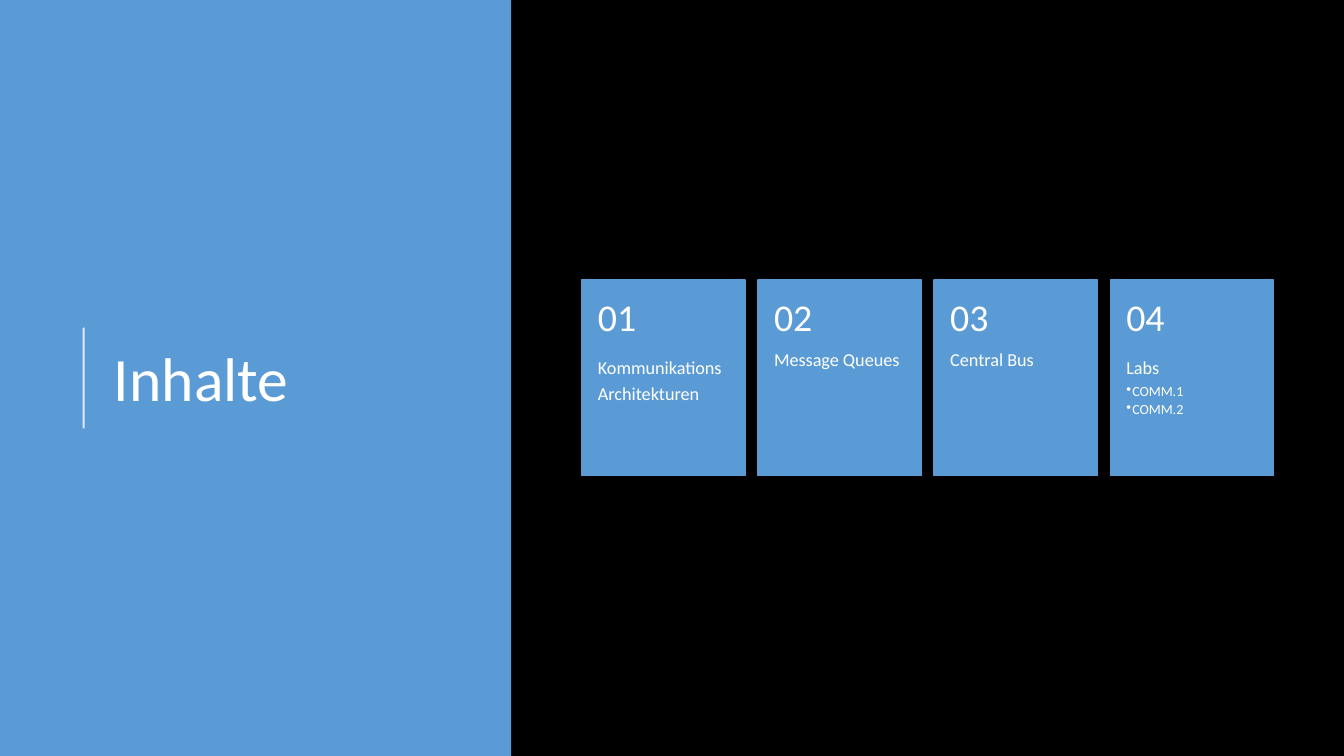
from lxml import etree
from pptx import Presentation
from pptx.dml.color import RGBColor
from pptx.enum.shapes import MSO_CONNECTOR, MSO_SHAPE
from pptx.enum.text import MSO_ANCHOR, MSO_AUTO_SIZE, PP_ALIGN
from pptx.oxml.ns import qn
from pptx.util import Inches, Pt

BLACK = RGBColor(0x00, 0x00, 0x00)
WHITE = RGBColor(0xFF, 0xFF, 0xFF)
BLUE = RGBColor(0x5B, 0x9B, 0xD5)

TOPICS = [
    (["Kommunikations", "Architekturen"], []),
    (["Message Queues"], []),
    (["Central Bus"], []),
    (["Labs"], ["COMM.1", "COMM.2"]),
]
CARD_LEFT, CARD_TOP, CARD_STEP = 5.77, 2.78, 1.747
CARD_WIDTH, CARD_HEIGHT, NUMBER_HEIGHT = 1.62, 1.94, 0.78


class Deck:
    font = "Calibri"

    def __init__(self, prs):
        self.slide = prs.slides.add_slide(prs.slide_layouts[5])
        self.shapes = self.slide.shapes
        fill = self.slide.background.fill
        fill.solid()
        fill.fore_color.rgb = BLACK

    def rect(self, left, top, width, height, outlined=False):
        sp = self.shapes.add_shape(
            MSO_SHAPE.RECTANGLE, Inches(left), Inches(top), Inches(width), Inches(height))
        sp.shadow.inherit = False
        sp.fill.solid()
        sp.fill.fore_color.rgb = BLUE
        if outlined:
            sp.line.color.rgb = BLUE
            sp.line.width = Pt(1)
        else:
            sp.line.fill.background()
        return sp

    def line(self, x1, y1, x2, y2, width, opacity):
        cxn = self.shapes.add_connector(
            MSO_CONNECTOR.STRAIGHT, Inches(x1), Inches(y1), Inches(x2), Inches(y2))
        cxn.line.color.rgb = WHITE
        cxn.line.width = Pt(width)
        color = cxn.element.spPr.find(".//" + qn("a:srgbClr"))
        etree.SubElement(color, qn("a:alpha"), val=str(opacity * 1000))
        etree.SubElement(cxn.element.spPr, qn("a:effectLst"))

    def run(self, p, text, size):
        p.line_spacing = 0.9
        p.alignment = PP_ALIGN.LEFT
        r = p.add_run()
        r.text = text
        r.font.name = self.font
        r.font.size = Pt(size)
        r.font.color.rgb = WHITE

    def title(self, text, left, top, width, height, size):
        sp = self.shapes.title
        sp.left, sp.top, sp.width, sp.height = map(Inches, (left, top, width, height))
        tf = sp.text_frame
        tf.auto_size = MSO_AUTO_SIZE.NONE
        tf.vertical_anchor = MSO_ANCHOR.MIDDLE
        self.run(tf.paragraphs[0], text, size)

    def text(self, left, top, width, height, lines, margins, anchor):
        box = self.shapes.add_textbox(Inches(left), Inches(top), Inches(width), Inches(height))
        tf = box.text_frame
        tf.word_wrap = True
        tf.vertical_anchor = anchor
        tf.margin_left = tf.margin_right = Inches(0.16)
        tf.margin_top, tf.margin_bottom = map(Inches, margins)
        for i, (text, size, bullet) in enumerate(lines):
            p = tf.add_paragraph() if i else tf.paragraphs[0]
            p.space_after = Pt(size * (0.15 if bullet else 0.35))
            self.run(p, text, size)
            if bullet:
                self.bullet(p)

    def bullet(self, p):
        p.level = 1
        pPr = p._p.get_or_add_pPr()
        pPr.set("marL", str(Inches(0.06)))
        pPr.set("indent", str(-Inches(0.06)))
        etree.SubElement(pPr, qn("a:buChar"), char="•")

    def card(self, left, number, topic, labs):
        self.rect(left, CARD_TOP, CARD_WIDTH, CARD_HEIGHT, outlined=True)
        lines = [(t, 13, False) for t in topic] + [(t, 10, True) for t in labs]
        self.text(left, CARD_TOP + NUMBER_HEIGHT, CARD_WIDTH, CARD_HEIGHT - NUMBER_HEIGHT,
                  lines, (0, 0.36), MSO_ANCHOR.TOP)
        self.text(left, CARD_TOP, CARD_WIDTH, NUMBER_HEIGHT,
                  [(f"{number:02d}", 27, False)], (0.18, 0.18), MSO_ANCHOR.MIDDLE)


def main():
    prs = Presentation()
    prs.slide_width, prs.slide_height = Inches(13.33), Inches(7.5)
    deck = Deck(prs)
    panel = deck.rect(0, 0, 5.07, 7.5)
    deck.shapes.title.element.addprevious(panel.element)
    deck.line(0.83, 4.25, 0.83, 3.25, 1.5, 80)
    deck.title("Inhalte", 1.03, 0.78, 3.69, 6.02, 44)
    for i, (topic, labs) in enumerate(TOPICS):
        deck.card(CARD_LEFT + i * CARD_STEP, i + 1, topic, labs)
    prs.save("out.pptx")


if __name__ == "__main__":
    main()
